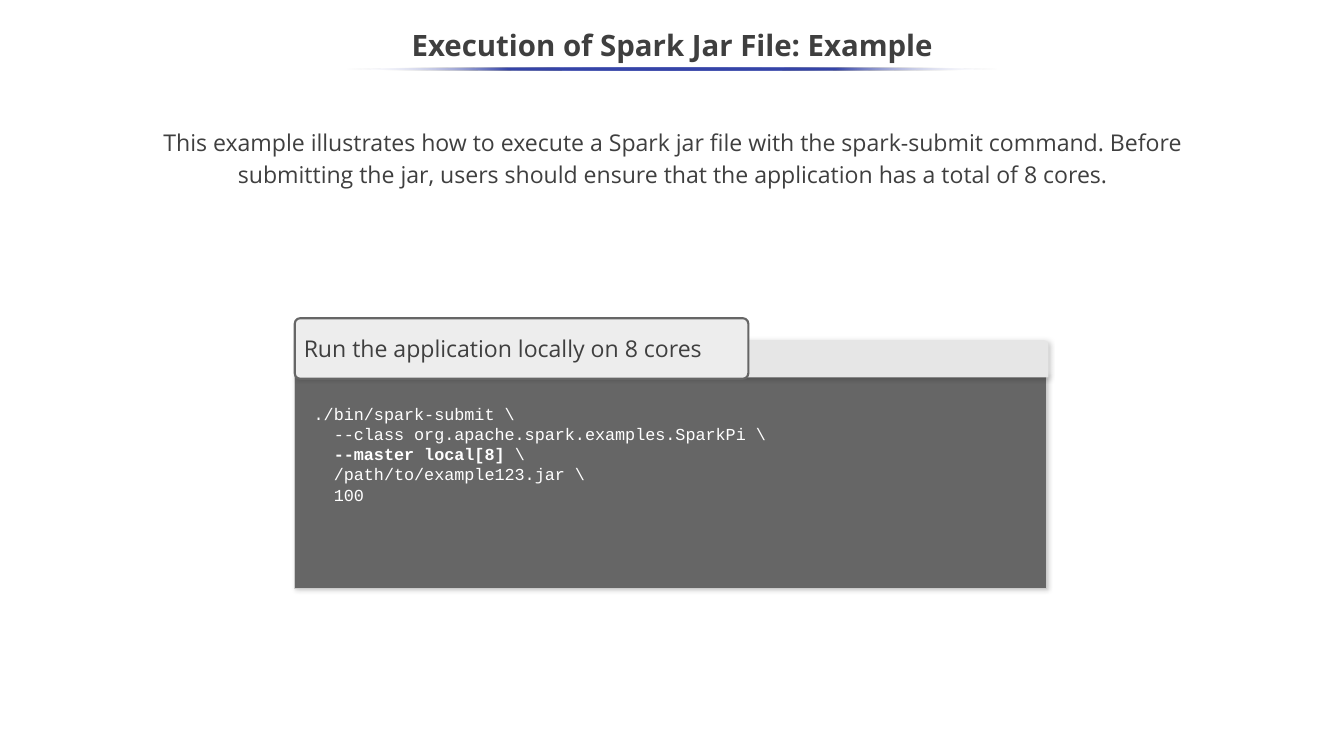
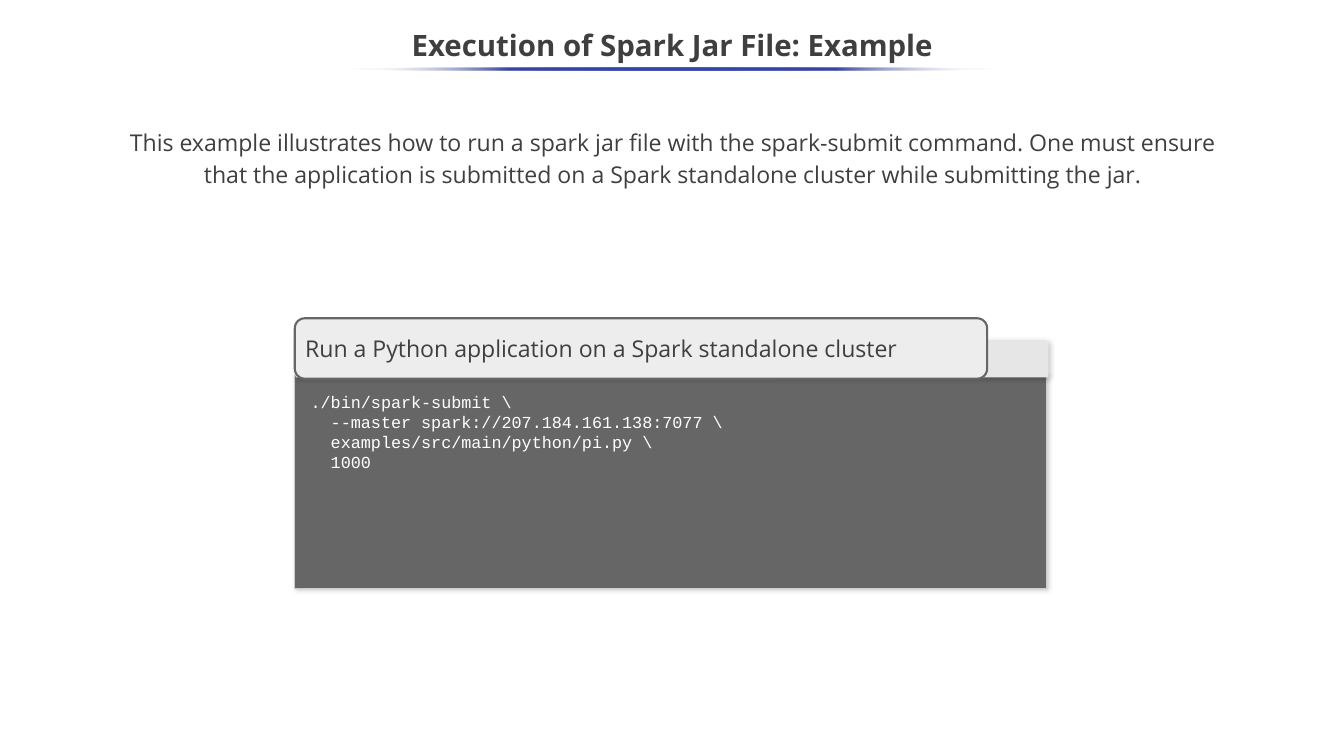
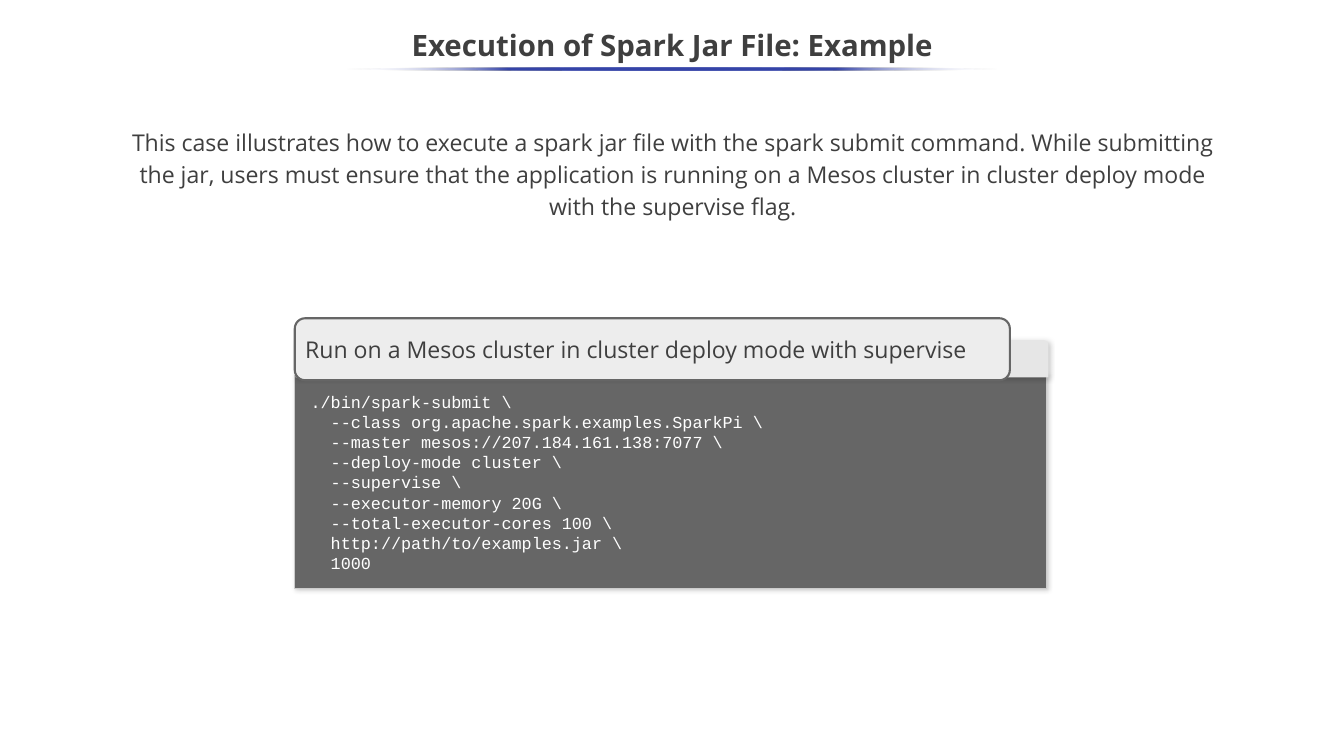
from dataclasses import dataclass

from lxml import etree
from pptx import Presentation
from pptx.dml.color import RGBColor
from pptx.enum.shapes import MSO_SHAPE
from pptx.enum.text import MSO_ANCHOR, MSO_AUTO_SIZE, PP_ALIGN
from pptx.oxml.ns import qn
from pptx.util import Inches, Pt

RECT = MSO_SHAPE.RECTANGLE
ROUND_RECT = MSO_SHAPE.ROUNDED_RECTANGLE
TOP_ROUND_RECT = MSO_SHAPE.ROUND_2_SAME_RECTANGLE
ELLIPSE = MSO_SHAPE.OVAL
LEFT, CENTER = PP_ALIGN.LEFT, PP_ALIGN.CENTER
TOP, MIDDLE = MSO_ANCHOR.TOP, MSO_ANCHOR.MIDDLE
GROW = MSO_AUTO_SIZE.SHAPE_TO_FIT_TEXT


@dataclass(frozen=True)
class Theme:
    width: float = 17.78
    height: float = 10
    text: str = "3F3F3F"
    code_text: str = "FFFFFF"
    code_back: str = "666666"
    code_edge: str = "CCCCCC"
    strip: str = "E6E6E6"
    tab: str = "EDEDED"
    accent: str = "3645A9"
    paper: str = "FFFFFF"
    shadow: str = "000000"
    body_font: str = "Open Sans"
    code_font: str = "Courier New"
    title_size: float = 28
    body_size: float = 22
    code_size: float = 16


THEME = Theme()
TITLE = "Execution of Spark Jar File: Example"
TITLE_BOX = (0, 0.25, THEME.width, 0.75)
INTRO_BOX = (1.41, 1.65, 14.98, 1.41)
PANEL_BOX = (3.9, 4.21, 9.97, 3.57)
CODE_LINE = 0.27

EXAMPLES = [
    dict(
        intro="This example illustrates how to execute a Spark jar file with the "
              "spark-submit command. Before submitting the jar, users should ensure "
              "that the application has a total of 8 cores.",
        heading="Run the application locally on 8 cores",
        tab_size=(6, 0.8), tab_radius=0.089,
        code=["./bin/spark-submit \\",
              "  --class org.apache.spark.examples.SparkPi \\",
              "  --master local[8] \\",
              "  /path/to/example123.jar \\",
              "  100"],
        code_offset=(0.12, 1.06), bold_part="  --master local[8] ",
    ),
    dict(
        intro="This example illustrates how to run a spark jar file with the "
              "spark-submit command. One must ensure that the application is "
              "submitted on a Spark standalone cluster while submitting the jar.",
        heading="Run a Python application on a Spark standalone cluster",
        tab_size=(9.16, 0.8),
        code=["./bin/spark-submit \\",
              "  --master spark://207.184.161.138:7077 \\",
              "  examples/src/main/python/pi.py \\",
              "  1000"],
    ),
    dict(
        intro="This case illustrates how to execute a spark jar file with the spark "
              "submit command. While submitting the jar, users must ensure that the "
              "application is running on a Mesos cluster in cluster deploy mode with "
              "the supervise flag.",
        heading="Run on a Mesos cluster in cluster deploy mode with supervise",
        tab_size=(9.46, 0.82),
        code=["./bin/spark-submit \\",
              "  --class org.apache.spark.examples.SparkPi \\",
              "  --master mesos://207.184.161.138:7077 \\",
              "  --deploy-mode cluster \\",
              "  --supervise \\",
              "  --executor-memory 20G \\",
              "  --total-executor-cores 100 \\",
              "  http://path/to/examples.jar \\",
              "  1000"],
    ),
]


def color(value):
    return RGBColor.from_string(value)


def inches(box):
    return [Inches(length) for length in box]


def write(shape, lines, *, size=THEME.body_size, font=THEME.body_font, ink=THEME.text,
          bold=False, bold_part="", align=LEFT, anchor=TOP, spacing=None,
          inset=(0.1, 0.05)):
    """Fill a shape with one paragraph per line; bold_part is set in bold."""
    frame = shape.text_frame
    frame.word_wrap = True
    frame.vertical_anchor = anchor
    frame.margin_left = frame.margin_right = Inches(inset[0])
    frame.margin_top = frame.margin_bottom = Inches(inset[1])
    for index, line in enumerate(lines):
        para = frame.add_paragraph() if index else frame.paragraphs[0]
        para.alignment = align
        para.line_spacing = spacing
        before, marked, after = line.partition(bold_part) if bold_part else (line, "", "")
        for text, strong in ((before, bold), (marked, True), (after, bold)):
            if text:
                span = para.add_run()
                span.text = text
                span.font.name = font
                span.font.size = Pt(size)
                span.font.bold = strong
                span.font.color.rgb = color(ink)


def add_block(shapes, kind, box, fill=None, line=None, line_width=0.75,
              radii=(), shadow=False):
    block = shapes.add_shape(kind, *inches(box))
    for index, radius in enumerate(radii):
        block.adjustments[index] = radius
    if fill:
        block.fill.solid()
        block.fill.fore_color.rgb = color(fill)
    if line:
        block.line.color.rgb = color(line)
        block.line.width = Pt(line_width)
    else:
        block.line.fill.background()
    block.shadow.inherit = False
    if shadow:
        add_shadow(block)
    return block


def add_color_xml(parent, value, alpha):
    node = etree.SubElement(parent, qn("a:srgbClr"), val=value)
    etree.SubElement(node, qn("a:alpha"), val=str(alpha * 1000))


def add_shadow(block):
    effects = block._element.spPr.find(qn("a:effectLst"))
    outer = etree.SubElement(effects, qn("a:outerShdw"), blurRad=str(Pt(4.5)),
                             dist=str(Pt(1.5)), dir=str(47 * 60000),
                             algn="tl", rotWithShape="0")
    add_color_xml(outer, THEME.shadow, 20)


def fade_ends(block):
    """Fill with the accent colour, fading to clear at both ends."""
    block.fill.gradient()
    block.fill.gradient_angle = 180
    stops = block._element.spPr.find(qn("a:gradFill")).find(qn("a:gsLst"))
    for stop in list(stops):
        stops.remove(stop)
    for place in range(0, 101, 25):
        stop = etree.SubElement(stops, qn("a:gs"), pos=str(place * 1000))
        if place in (0, 100):
            add_color_xml(stop, THEME.paper, 0)
        else:
            add_color_xml(stop, THEME.accent, 100)


def add_title(page, box):
    left, top, width, _ = box
    title = page.shapes.add_textbox(*inches(box))
    write(title, [TITLE], size=THEME.title_size, bold=True, align=CENTER,
          anchor=MIDDLE, spacing=0.9)
    # Tapered rule under the title
    rule_width = 8.63
    rule_left = left + (width - rule_width) / 2
    fade_ends(add_block(page.shapes, ELLIPSE, (rule_left, top + 0.64, rule_width, 0.04)))


def add_intro(page, box, text):
    intro = page.shapes.add_textbox(*inches(box))
    write(intro, [text], align=CENTER, spacing=1.15, inset=(0.1, 0))


def add_code_panel(page, box, heading, code, tab_size, tab_radius=0.167,
                   code_offset=(0.08, 0.9), bold_part=""):
    left, top, width, height = box
    panel = page.shapes.add_group_shape().shapes
    # Dark code area and the light strip above it
    add_block(panel, RECT, (left, top + 0.75, width - 0.03, height - 0.75),
              THEME.code_back, line=THEME.code_edge, shadow=True)
    add_block(panel, TOP_ROUND_RECT, (left + 0.01, top + 0.29, width - 0.01, 0.49),
              THEME.strip, radii=(0.122, 0), shadow=True)
    # Code listing
    listing = panel.add_textbox(*inches((left + code_offset[0], top + code_offset[1],
                                         9.82, 0.14 + CODE_LINE * len(code))))
    write(listing, code, size=THEME.code_size, font=THEME.code_font,
          ink=THEME.code_text, bold_part=bold_part, inset=(0.13, 0.07))
    listing.text_frame.auto_size = GROW
    # Heading tab
    tab = add_block(panel, ROUND_RECT, (left, top, *tab_size), THEME.tab,
                    line=THEME.code_back, line_width=2, radii=(tab_radius,))
    write(tab, [heading], anchor=MIDDLE)


def add_example(deck, intro, **panel):
    page = deck.slides.add_slide(deck.slide_layouts[6])
    add_title(page, TITLE_BOX)
    add_code_panel(page, PANEL_BOX, **panel)
    add_intro(page, INTRO_BOX, intro)


def main():
    deck = Presentation()
    deck.slide_width = Inches(THEME.width)
    deck.slide_height = Inches(THEME.height)
    for example in EXAMPLES:
        add_example(deck, **example)
    deck.save("out.pptx")


if __name__ == "__main__":
    main()
